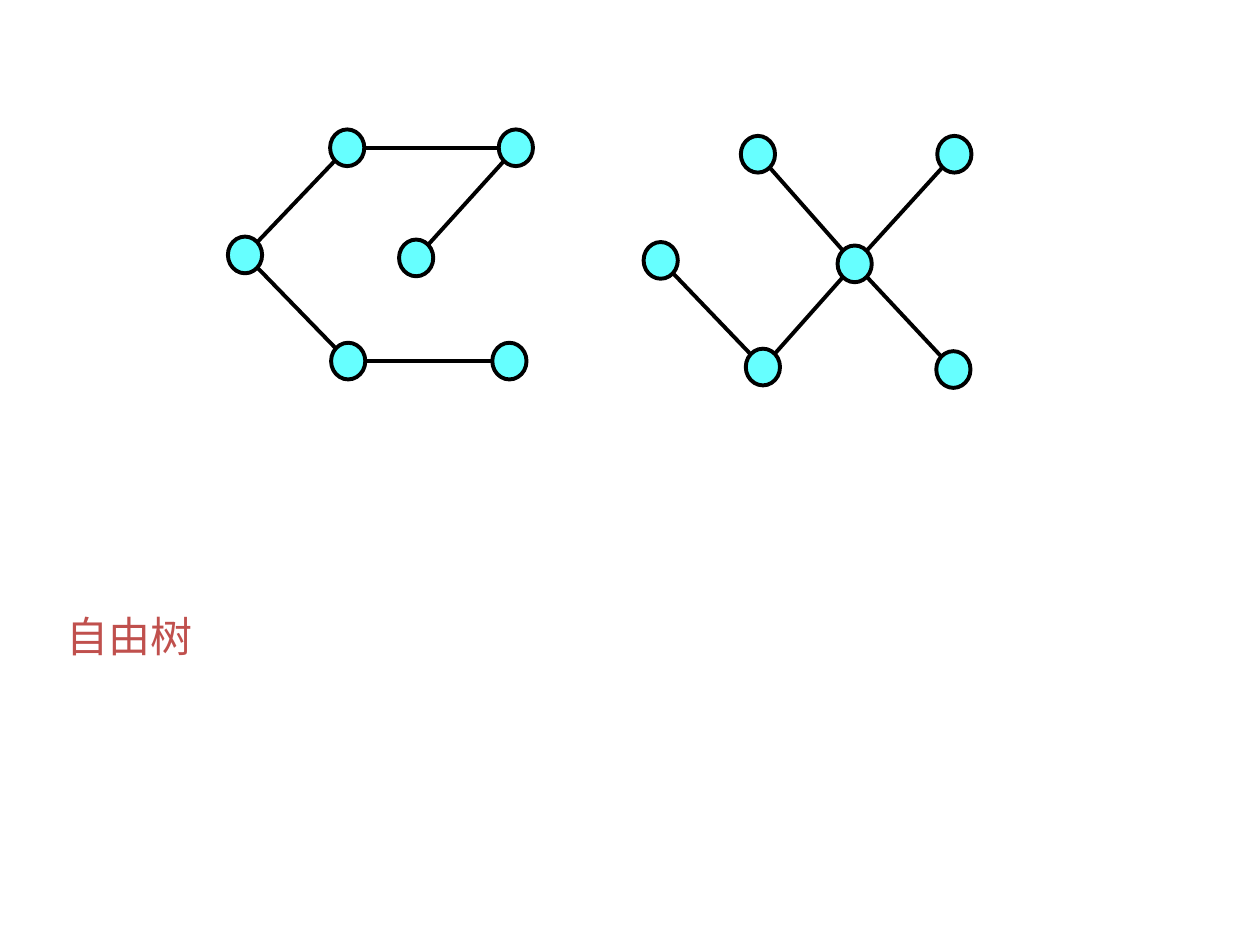
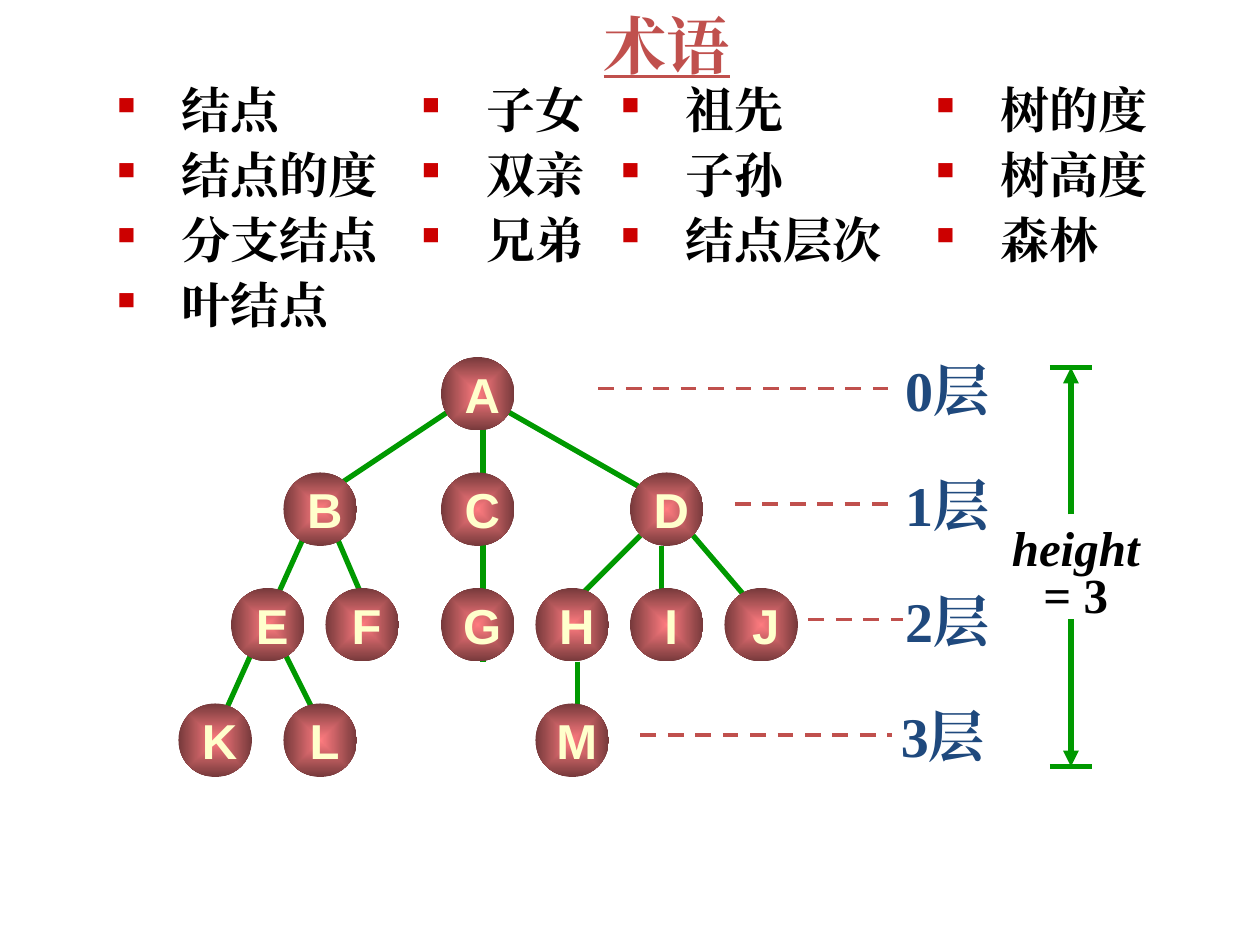
"""Two slides on trees: free trees, and tree terms with a levelled tree."""
from math import hypot

from lxml.etree import SubElement as Sub
from pptx import Presentation
from pptx.dml.color import RGBColor
from pptx.enum.dml import MSO_LINE
from pptx.enum.shapes import MSO_CONNECTOR as Link, MSO_SHAPE as Form
from pptx.enum.text import MSO_ANCHOR as Anchor, MSO_AUTO_SIZE as Fit, PP_ALIGN as Align
from pptx.oxml import parse_xml
from pptx.oxml.ns import nsdecls, qn
from pptx.util import Cm, Pt

BLACK = RGBColor(0x00, 0x00, 0x00)
RED = RGBColor(0xC0, 0x50, 0x4D)
BLUE = RGBColor(0x1F, 0x49, 0x7D)
GREEN = RGBColor(0x00, 0x99, 0x00)
CYAN = RGBColor(0x66, 0xFF, 0xFF)
CREAM = RGBColor(0xFF, 0xFF, 0xCC)
BULLET, CORE, RIM = "CC0000", "FF7C80", "76393B"
SERIF = "Times New Roman"

# Free trees: node centres in cm, then edges as pairs of node numbers
FREE = [
    ([(7, 2.98), (10.4, 2.98), (4.94, 5.14), (8.39, 5.2), (7.02, 7.28), (10.27, 7.28)],
     [(0, 1), (0, 2), (1, 3), (2, 4), (4, 5)]),
    ([(15.28, 3.11), (19.24, 3.11), (13.32, 5.25), (17.23, 5.32), (15.38, 7.4), (19.22, 7.45)],
     [(4, 3), (0, 3), (2, 4), (3, 5), (1, 3)]),
]
DOT_W, DOT_H, TRIM = 0.69, 0.74, 0.33

# Terms slide: places in grid units, 120 across the slide
UNIT = 25.4 / 120
TERMS = [
    (10, 30, 30, ["结点", "结点的度", "分支结点", "叶结点"]),
    (39, 30, 22, ["子女", "双亲", "兄弟"]),
    (58, 39, 30, ["祖先", "子孙", "结点层次"]),
    (88, 25.8, 23, ["树的度", "树高度", "森林"]),
]
ROWS = [
    {"A": 42},
    {"B": 27, "C": 42, "D": 60},
    {"E": 22, "F": 31, "G": 42, "H": 51, "I": 60, "J": 69},
    {"K": 17, "L": 27, "M": 51},
]
EDGES = [
    (66, 51, 72, 58), (61, 51, 55, 57), (63, 52, 63, 57), (55, 63, 55, 69),
    (48, 39, 62, 47), (43, 39, 31, 47), (46, 40, 46, 63), (32, 51, 35, 58),
    (27, 62, 30, 68), (29, 51, 20, 71),
]
LEVELS = [(57, 85, 84.4), (70, 85, 84.4), (77, 86, 84.4), (61, 85, 84)]
SPANS = [(49, 35), (59, 73)]
TOP, STEP, SIZE, AXIS = 34, 11, 7, 102


def grid(*nums):
    return [Cm(n * UNIT) for n in nums]


def write(shape, lines, font, size, color, align=Align.CENTER, anchor=Anchor.MIDDLE,
          bold=True, wrap=False, mark=False):
    frame = shape.text_frame
    frame.text = "\n".join(lines)
    frame.auto_size, frame.word_wrap = Fit.NONE, wrap
    frame.vertical_anchor = anchor
    for i, para in enumerate(frame.paragraphs):
        para.alignment = align
        if mark:
            props = para._p.get_or_add_pPr()
            props.set("marL", str(Cm(1.3)))
            props.set("indent", str(-Cm(1.3)))
            Sub(Sub(props, qn("a:buClr")), qn("a:srgbClr"), val=BULLET)
            Sub(props, qn("a:buSzPct"), val="50000")
            Sub(props, qn("a:buChar"), char="■")
            para.space_before = Pt(3.5 if i else 0)
        for run in para.runs:
            run.font.name, run.font.size, run.font.bold = font, Pt(size), bold
            run.font.color.rgb = color
            Sub(run._r.get_or_add_rPr(), qn("a:ea"), typeface=font)
    return frame


def label(slide, box, *args, **style):
    return write(slide.shapes.add_textbox(*box), *args, **style)


def head(deck, box, *args, **style):
    slide = deck.slides.add_slide(deck.slide_layouts[5])
    title = slide.shapes.title
    title.left, title.top, title.width, title.height = box
    return slide, write(title, *args, wrap=True, **style)


def line(shapes, ends, color, width, dash=False, arrow=False):
    link = shapes.add_connector(Link.STRAIGHT, *ends)
    link.line.color.rgb, link.line.width = color, Pt(width)
    if dash:
        link.line.dash_style = MSO_LINE.DASH
    if arrow:
        Sub(link.line._get_or_add_ln(), qn("a:tailEnd"), type="triangle")
    Sub(link._element.spPr, qn("a:effectLst"))


def disc(shapes, box):
    shape = shapes.add_shape(Form.OVAL, *box)
    shape.shadow.inherit = False
    return shape


def shade(shape):
    shape.line.fill.background()
    shape.fill.background()
    old = shape._element.spPr.find(qn("a:noFill"))
    old.getparent().replace(old, parse_xml(
        f'<a:gradFill {nsdecls("a")}><a:gsLst>'
        f'<a:gs pos="0"><a:srgbClr val="{CORE}"/></a:gs>'
        f'<a:gs pos="100000"><a:srgbClr val="{RIM}"/></a:gs></a:gsLst>'
        '<a:path path="rect"><a:fillToRect l="50000" t="50000" r="50000" b="50000"/>'
        '</a:path></a:gradFill>'))


def free(deck):
    box = [Cm(n) for n in (1.09, 11.91, 22.86, 1.8)]
    slide, _ = head(deck, box, ["自由树"], "Calibri", 24, RED, align=Align.LEFT, bold=False)
    for nodes, edges in FREE:
        shapes = slide.shapes.add_group_shape().shapes
        for a, b in edges:
            (x1, y1), (x2, y2) = nodes[a], nodes[b]
            cut = TRIM / hypot(x2 - x1, y2 - y1)
            dx, dy = (x2 - x1) * cut, (y2 - y1) * cut
            ends = [Cm(n) for n in (x1 + dx, y1 + dy, x2 - dx, y2 - dy)]
            line(shapes, ends, BLACK, 2.25)
        for x, y in nodes:
            box = [Cm(n) for n in (x - DOT_W / 2, y - DOT_H / 2, DOT_W, DOT_H)]
            dot = disc(shapes, box)
            dot.fill.solid()
            dot.fill.fore_color.rgb = CYAN
            dot.line.color.rgb, dot.line.width = BLACK, Pt(2.25)


def terms(deck):
    slide, frame = head(deck, grid(44, 0, 39, 8.4), ["术语"], SERIF, 36, RED, anchor=Anchor.TOP)
    frame.paragraphs[0].runs[0].font.underline = True
    shapes = slide.shapes
    for edge in EDGES:
        line(shapes, grid(*edge), GREEN, 3)
    for i, row in enumerate(ROWS):
        y = TOP + STEP * i
        for name, x in row.items():
            node = disc(shapes, grid(x, y, SIZE, SIZE))
            shade(node)
            frame = write(node, [name], "Arial", 28, CREAM)
            frame.margin_left, frame.margin_right = Cm(0.18), 0
            frame.margin_top = frame.margin_bottom = 0
        start, end, x = LEVELS[i]
        line(shapes, grid(start, y + 3, end, y + 3), RED, 2.25, dash=True)
        label(slide, grid(x, y - 0.8, 11.6, 7.7), [f"{i}层"], SERIF, 32, BLUE)
    frame = label(slide, grid(95.2, 49.7, 14.5, 10.2), ["height", "= 3"], SERIF, 28, BLACK)
    for para in frame.paragraphs:
        para.line_spacing = 0.8
    frame.paragraphs[0].runs[0].font.italic = True
    for start, end in SPANS:
        line(shapes, grid(AXIS - 2, end, AXIS + 2, end), GREEN, 3)
        line(shapes, grid(AXIS, start, AXIS, end), GREEN, 3, arrow=True)
    for x, w, h, words in TERMS:
        label(slide, grid(x, 7, w, h), words, SERIF, 28, BLACK, align=Align.LEFT,
              anchor=Anchor.TOP, wrap=True, mark=True)


def main():
    deck = Presentation()
    deck.slide_width, deck.slide_height = Cm(25.4), Cm(19.05)
    free(deck)
    terms(deck)
    deck.save("out.pptx")


if __name__ == "__main__":
    main()
